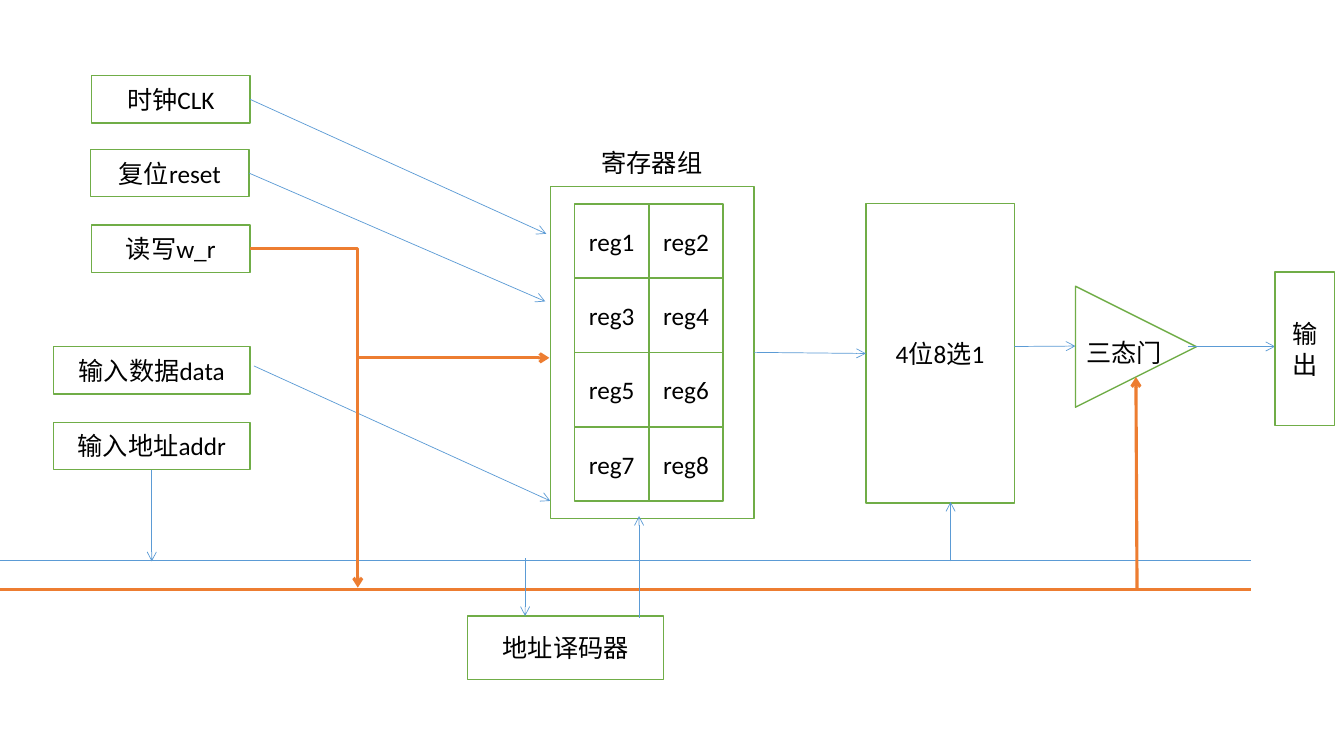
from pptx import Presentation
from pptx.dml.color import RGBColor
from pptx.enum.shapes import MSO_CONNECTOR, MSO_SHAPE
from pptx.enum.text import MSO_ANCHOR, PP_ALIGN
from pptx.oxml.ns import qn
from pptx.util import Pt
from lxml.etree import SubElement


def color(code):
    return RGBColor.from_string(code)


class Board:
    font, size = "Calibri", 18
    ink, white, green = "000000", "FFFFFF", "70AD47"
    blue, orange = "5B9BD5", "ED7D31"

    def __init__(self, slide):
        self.shapes = slide.shapes

    def fill_text(self, frame, text, align):
        frame.word_wrap = True
        par = frame.paragraphs[0]
        par.text, par.alignment = text, align
        par.font.name, par.font.size = self.font, Pt(self.size)
        par.font.color.rgb = color(self.ink)

    def box(self, left, top, width, height, text="", kind=MSO_SHAPE.RECTANGLE):
        item = self.shapes.add_shape(kind, Pt(left), Pt(top), Pt(width), Pt(height))
        item.shadow.inherit = False
        item.fill.solid()
        item.fill.fore_color.rgb = color(self.white)
        item.line.color.rgb = color(self.green)
        item.line.width = Pt(1)
        if text:
            item.text_frame.vertical_anchor = MSO_ANCHOR.MIDDLE
            self.fill_text(item.text_frame, text, PP_ALIGN.CENTER)
        return item

    def label(self, left, top, width, height, text):
        item = self.shapes.add_textbox(Pt(left), Pt(top), Pt(width), Pt(height))
        self.fill_text(item.text_frame, text, PP_ALIGN.LEFT)

    def line(self, start, end, bold=False, arrow=True, bent=False):
        kind = MSO_CONNECTOR.ELBOW if bent else MSO_CONNECTOR.STRAIGHT
        item = self.shapes.add_connector(kind, *map(Pt, start + end))
        item.line.color.rgb = color(self.orange if bold else self.blue)
        item.line.width = Pt(2.25 if bold else 0.5)
        props = item._element.spPr
        if bent:
            props.find(qn("a:prstGeom")).set("prst", "bentConnector2")
        if arrow:
            SubElement(props.find(qn("a:ln")), qn("a:tailEnd")).set("type", "arrow")
        SubElement(props, qn("a:effectLst"))
        return item


def main():
    deck = Presentation()
    deck.slide_width, deck.slide_height = Pt(960), Pt(540)
    board = Board(deck.slides.add_slide(deck.slide_layouts[6]))

    # Register group: two columns of four cells
    group = board.box(393.1, 133.2, 145.6, 237)
    cell = 53.1
    for n in range(8):
        row, col = divmod(n, 2)
        board.box(410.4 + col * cell, 145.6 + row * cell, cell, cell, f"reg{n + 1}")
    board.label(422.6, 101.5, 99.4, 29, "寄存器组")

    # Selector and decoder
    mux = board.box(618.5, 145.6, 106, 213.8, "4位8选1")
    board.box(334, 440, 140, 45.4, "地址译码器")

    # Inputs
    inputs = [
        (65.5, 54, 113, "时钟CLK"),
        (64.8, 106.7, 113, "复位reset"),
        (65.5, 160.7, 113, "读写w_r"),
        (38.2, 247.7, 140.4, "输入数据data"),
        (38.2, 301.6, 140.4, "输入地址addr"),
    ]
    clock, reset, _, _, addr = [
        board.box(left, top, width, 33.8, text) for left, top, width, text in inputs
    ]

    # Inputs to the register group
    board.line((178.5, 70.9), (390.2, 167)).begin_connect(clock, 3)
    board.line((177.8, 123.6), (389.5, 215.3)).begin_connect(reset, 3)
    board.line((181.4, 261.4), (393.1, 357.8))

    # Address bus and control bus
    board.line((-2.2, 400.3), (893.5, 400.3), arrow=False)
    board.line((-2.2, 421.2), (893.5, 421.2), bold=True, arrow=False)

    # Taps on the buses
    board.line((108.4, 335.4), (108.4, 401)).begin_connect(addr, 2)
    board.line((375.1, 398.9), (375.1, 440))
    board.line((679, 401), (679, 358.6))
    board.line((456.5, 441.4), (456.5, 368.6))
    board.line((178.5, 177.6), (255.6, 419.8), bold=True, bent=True)

    # Register group to selector to gate
    link = board.line((538.7, 251.7), (618.5, 252.5))
    link.begin_connect(group, 3)
    link.end_connect(mux, 1)
    board.line((724.5, 247.5), (768.2, 247.2))

    # Three-state gate and output
    gate = board.box(768.2, 204.5, 86.4, 86.4, kind=MSO_SHAPE.ISOSCELES_TRIANGLE)
    gate.rotation = 90
    board.label(769, 237.6, 79.2, 29, "三态门")
    board.line((812.2, 421.2), (811.4, 269.3), bold=True)
    board.line((848.9, 247.5), (910.8, 247.5))
    board.box(910.8, 194.4, 42.5, 109.6, "输出")
    board.line((255.6, 255.6), (392.4, 255.6), bold=True)

    deck.save("out.pptx")


if __name__ == "__main__":
    main()
